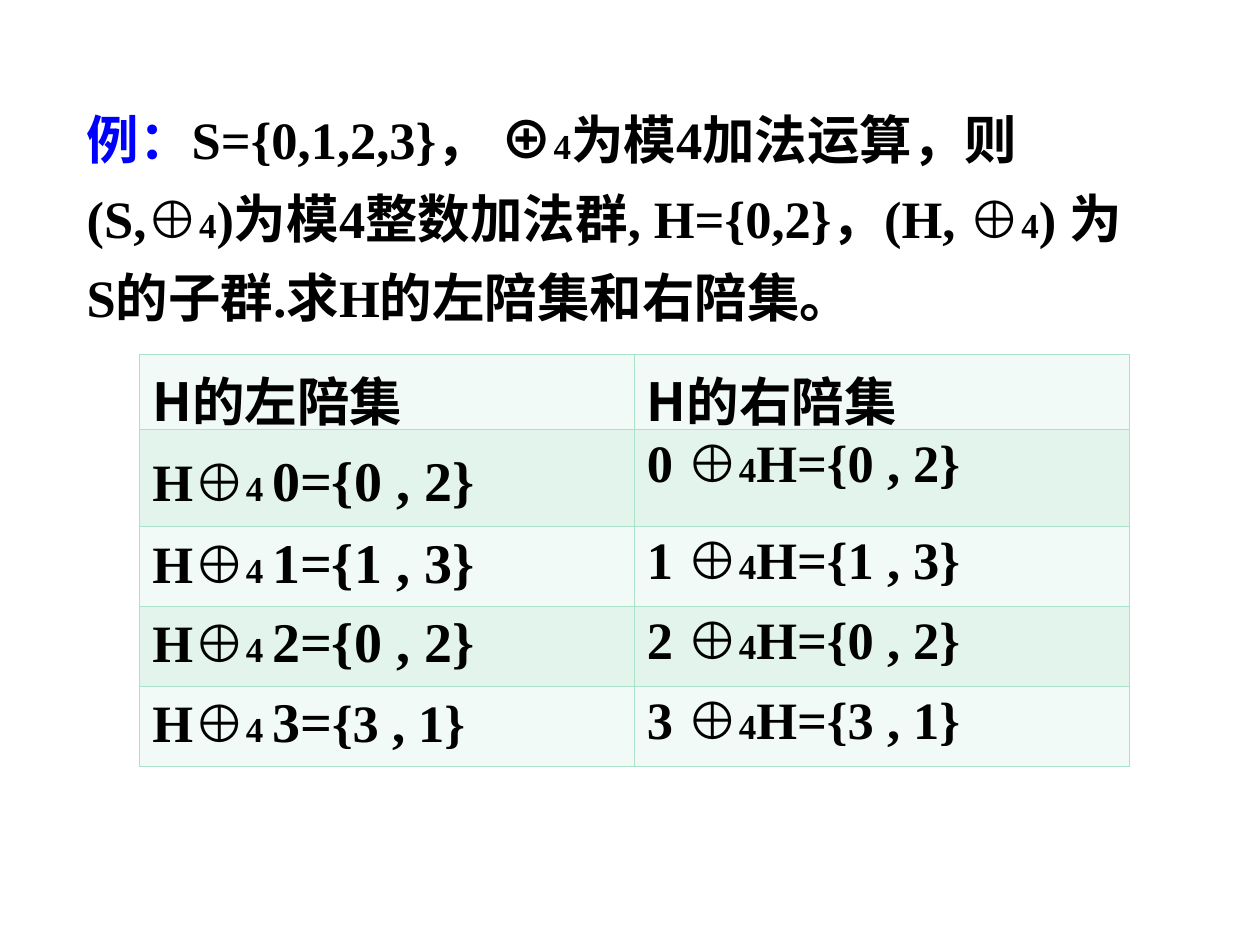
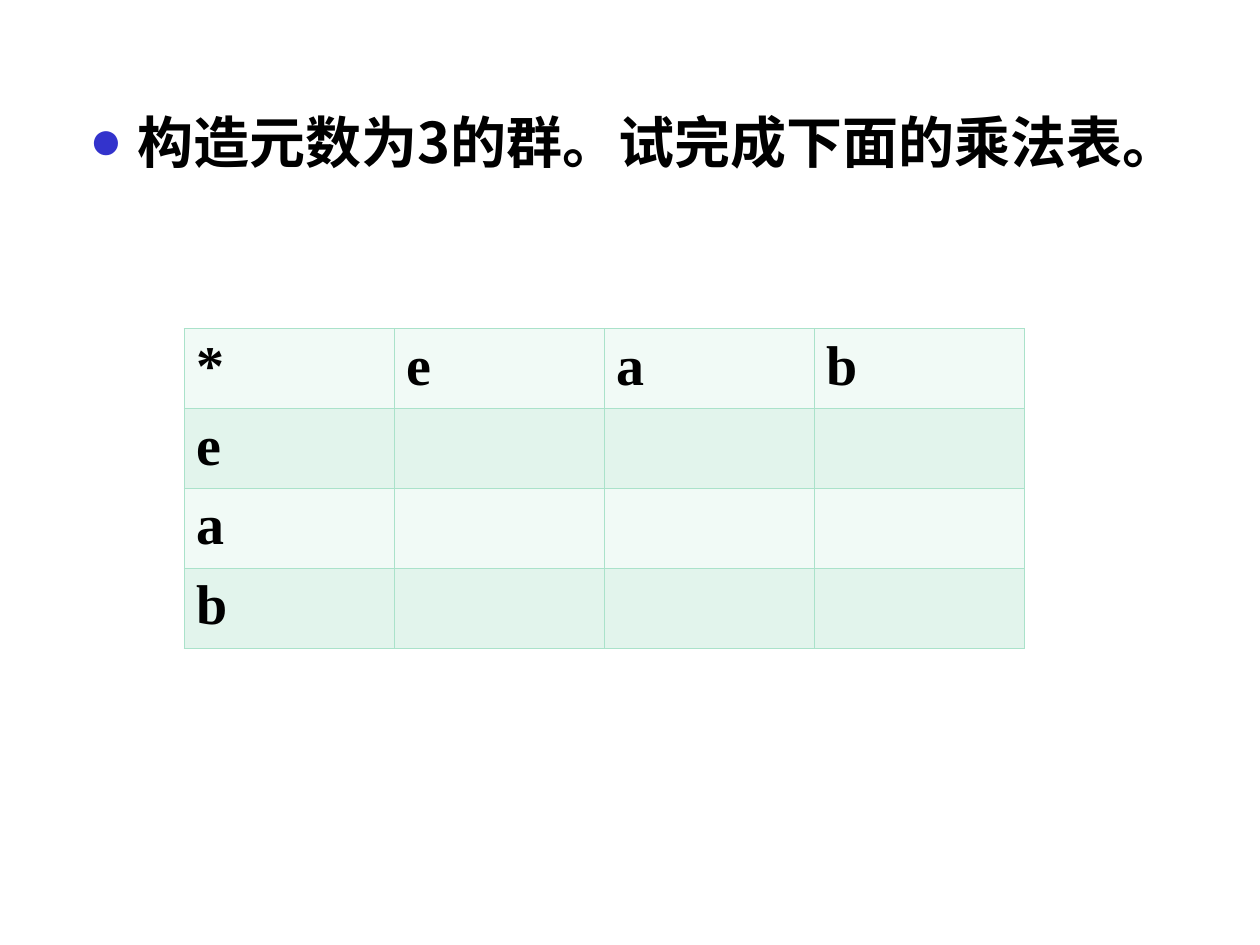
from dataclasses import dataclass

from lxml import etree
from pptx import Presentation
from pptx.dml.color import RGBColor
from pptx.enum.text import MSO_ANCHOR
from pptx.oxml.ns import qn
from pptx.util import Emu, Inches, Pt

TOP = MSO_ANCHOR.TOP
BOTTOM = MSO_ANCHOR.BOTTOM
WIDE, HIGH = Inches(10), Inches(7.5)


@dataclass(frozen=True)
class Theme:
    serif: str = "Times New Roman"
    sans: str = "Noto Sans CJK SC"
    ink: str = "000000"
    blue: str = "0000FF"
    dot: str = "3333CC"
    line: str = "AAE2CA"
    bands: tuple = ("F1FAF6", "E2F4EC")
    big: int = 32
    body: int = 30
    sub: int = 20
    lead: int = 45
    rule: float = 0.45


THEME = Theme()


def col(count):
    return Emu(round(WIDE * count / 100))


def row(count):
    return Emu(round(HIGH * count / 100))


def add_run(para, text, size, face=THEME.serif, color=THEME.ink):
    run = para.add_run()
    run.text = text
    font = run.font
    font.size, font.bold, font.name = Pt(size), True, face
    font.color.rgb = RGBColor.from_string(color)
    east = etree.SubElement(run._r.get_or_add_rPr(), qn("a:ea"))
    east.set("typeface", THEME.sans)


def add_text(slide, left, top, width, height, anchor):
    box = slide.shapes.add_textbox(col(left), row(top), col(width), row(height))
    frame = box.text_frame
    frame.word_wrap = True
    frame.vertical_anchor = anchor
    para = frame.paragraphs[0]
    para.line_spacing = Pt(THEME.lead)
    return frame, para


def add_dot(para, indent):
    props = para._p.get_or_add_pPr()
    props.set("marL", str(indent))
    props.set("indent", str(-indent))
    color = etree.SubElement(props, qn("a:buClr"))
    etree.SubElement(color, qn("a:srgbClr")).set("val", THEME.dot)
    etree.SubElement(props, qn("a:buFont")).set("typeface", THEME.serif)
    etree.SubElement(props, qn("a:buChar")).set("char", "●")


def add_edges(cell):
    props = cell._tc.get_or_add_tcPr()
    for spot, side in enumerate(("lnL", "lnR", "lnT", "lnB")):
        edge = etree.Element(qn(f"a:{side}"), w=str(Pt(THEME.rule)))
        fill = etree.SubElement(edge, qn("a:solidFill"))
        etree.SubElement(fill, qn("a:srgbClr")).set("val", THEME.line)
        props.insert(spot, edge)


def add_grid(slide, left, top, width, heights, cells):
    count = len(cells[0])
    frame = slide.shapes.add_table(len(cells), count, col(left), row(top),
                                   col(width), row(sum(heights)))
    table = frame.table
    table.first_row = table.horz_banding = False
    for item in table.columns:
        item.width = col(width / count)
    for i, (height, line) in enumerate(zip(heights, cells)):
        table.rows[i].height = row(height)
        for j, runs in enumerate(line):
            cell = table.cell(i, j)
            cell.fill.solid()
            cell.fill.fore_color.rgb = RGBColor.from_string(THEME.bands[i % 2])
            add_edges(cell)
            for run in runs:
                add_run(cell.text_frame.paragraphs[0], *run)
    return table


def coset_rows():
    big, body, sub = THEME.big, THEME.body, THEME.sub
    rows = [[[(f"H的{side}陪集", body, THEME.sans)] for side in "左右"]]
    sets = ("{0 , 2}", "{1 , 3}", "{0 , 2}", "{3 , 1}")
    for num, group in enumerate(sets):
        size = body if num == 3 else big
        left = [("H⊕", body), ("4 ", sub), (f"{num}=", big), (group, size)]
        right = [(f"{num} ⊕", body), ("4", sub), (f"H={group}", body)]
        rows.append([left, right])
    return rows


def coset_slide(slide):
    frame, para = add_text(slide, 5.9, 7.2, 85, 34.27, BOTTOM)
    frame.margin_bottom = row(6.8)
    add_run(para, "例：", THEME.body, color=THEME.blue)
    parts = ("S={0,1,2,3}， ⊕", "为模4加法运算，则(S,⊕",
             ")为模4整数加法群, H={0,2}，(H, ⊕",
             ") 为S的子群.求H的左陪集和右陪集。")
    for i, part in enumerate(parts):
        if i:
            add_run(para, "4", THEME.sub)
        add_run(para, part, THEME.body)
    heights = [8, 10.27] + [8.4] * 3
    table = add_grid(slide, 11.1, 37.47, 78.5, heights, coset_rows())
    table.cell(1, 0).text_frame.paragraphs[0].line_spacing = 1.25


def product_slide(slide):
    frame, para = add_text(slide, 6.1, 10.13, 90.8, 78.13, TOP)
    frame.margin_top = 0
    add_dot(para, col(3.8))
    add_run(para, "构造元数为3的群。试完成下面的乘法表。", THEME.big, THEME.sans)
    names = "*eab"
    cells = [[[(b if i == 0 else a, THEME.big)] if i * j == 0 else []
              for j, b in enumerate(names)] for i, a in enumerate(names)]
    add_grid(slide, 14.6, 34.8, 66.7, [8.4] * len(names), cells)


def main():
    deck = Presentation()
    deck.slide_width, deck.slide_height = WIDE, HIGH
    for build in (coset_slide, product_slide):
        build(deck.slides.add_slide(deck.slide_layouts[6]))
    deck.save("out.pptx")


if __name__ == "__main__":
    main()
